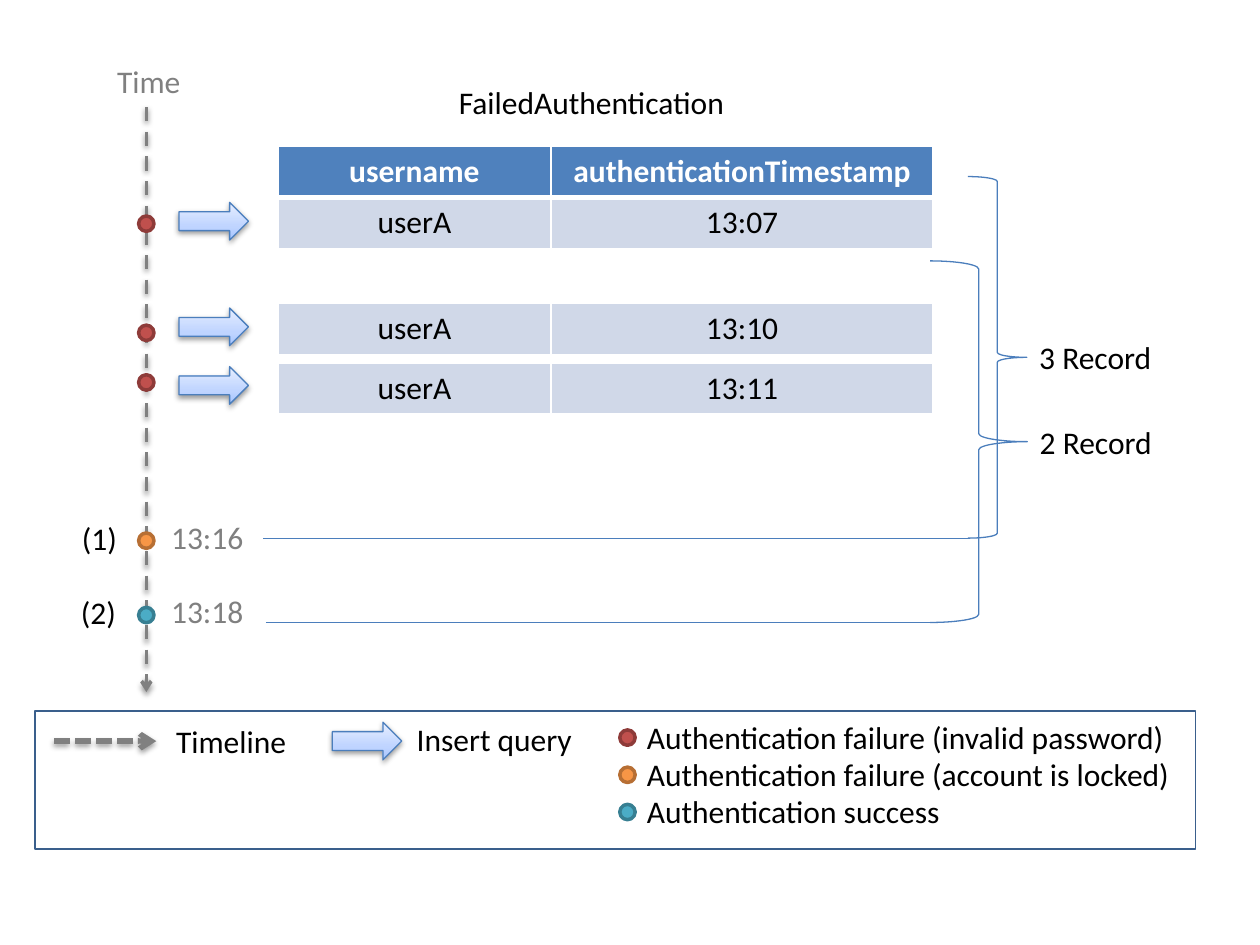
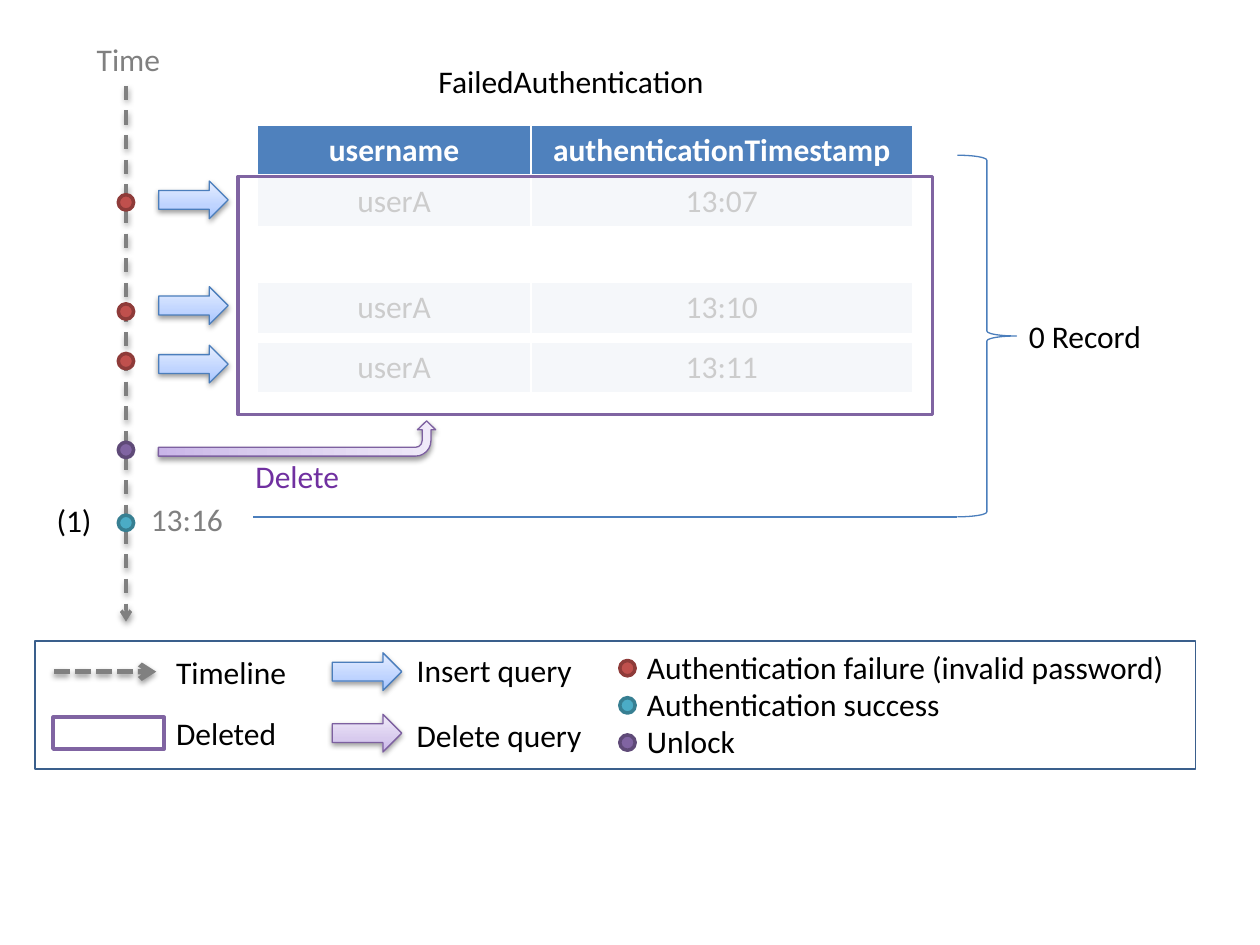
from lxml import etree
from copy import deepcopy
from pptx import Presentation
from pptx import util as u
from pptx.dml.color import RGBColor
from pptx.enum import dml, shapes, text
from pptx.oxml.ns import qn

Cm, Pt = u.Cm, u.Pt
KIND = shapes.MSO_SHAPE

COLOURS = {
    "text": "000000", "grey": "808080", "white": "FFFFFF", "delete": "7030A0",
    "header": "4F81BD", "row": "D0D8E8", "brace": "4B7EBC",
    "frame": "3A5F8C", "deleted": "8064A2",
}
# Event dots: fill and outline
DOTS = {
    "failure": ("C0504D", "8E3B39"), "locked": ("F79646", "B76F34"),
    "success": ("4BACC6", "377F92"), "unlock": ("8064A2", "5F4A78"),
}
# Query arrows: gradient from bottom to top, and outline
QUERIES = {
    "insert": (("A4C4FF", "BFD4FF", "E6EEFF"), "4B7EBC"),
    "delete": (("C9B5E8", "D8CBEE", "F0EAF9"), "7D60A0"),
}
FONT, FONT_SIZE = "Calibri", 18
TEXT_H, ROW_H, DOT = 1.02, 1.03, 0.31
ARROW_W, ARROW_H = 1.4, 0.76
COLUMNS = (5.51, 7.7)

# Diagram lengths are in cm, measured from the top of the timeline.
HEADER = ("username", "authenticationTimestamp")
# table top, rows, dot centre, arrow centre
RECORDS = [
    (0.79, [HEADER, ("userA", "13:07")], 2.35, 2.3),
    (3.96, [("userA", "13:10")], 4.55, 4.43),
    (5.16, [("userA", "13:11")], 5.55, 5.61),
]
FAILURE = ("failure", "Authentication failure (invalid password)")
SUCCESS = ("success", "Authentication success")
# events: dot, centre, number, number left, time
# braces: left, top, width, left end of the line, label
SLIDES = [
    dict(
        origin=(2.95, 2.16), length=11.79, unlock=None,
        events=[("locked", 8.74, "(1)", -1.55, "13:16"),
                ("success", 10.24, "(2)", -1.57, "13:18")],
        braces=[(16.56, 1.4, 1.19, 2.36, "3 Record"),
                (15.8, 3.1, 1.96, 2.41, "2 Record")],
        legend=(14.33, 2.79),
        key=[FAILURE, ("locked", "Authentication failure (account is locked)"), SUCCESS],
    ),
    dict(
        origin=(2.54, 1.73), length=10.8, unlock=7.34,
        events=[("success", 8.81, "(1)", -1.65, "13:16")],
        braces=[(16.76, 1.4, 1.19, 2.57, "0 Record")],
        legend=(12.93, 2.57),
        key=[FAILURE, SUCCESS, ("unlock", "Unlock")],
    ),
]
BRACE_H = 7.29


def rgb(colour):
    return RGBColor.from_string(COLOURS.get(colour, colour))


def add_effects(part, shadowed=False):
    """Give the part its own effect list, with or without a soft shadow."""
    effects = etree.SubElement(part._element.spPr, qn("a:effectLst"))
    if shadowed:
        shadow = etree.SubElement(effects, qn("a:outerShdw"), blurRad="40000",
                                  dist="20000", dir="5400000", rotWithShape="0")
        black = etree.SubElement(shadow, qn("a:srgbClr"), val="000000")
        etree.SubElement(black, qn("a:alpha"), val="38000")


def write(paragraph, words, colour="text", bold=False):
    run = paragraph.add_run()
    run.text = words
    run.font.name, run.font.size, run.font.bold = FONT, Pt(FONT_SIZE), bold
    run.font.color.rgb = rgb(colour)


def add_label(slide, words, left, middle, width, colour="text"):
    box = slide.shapes.add_textbox(Cm(left), Cm(middle - TEXT_H / 2), Cm(width), Cm(TEXT_H))
    box.text_frame.word_wrap = True
    box.text_frame.auto_size = text.MSO_AUTO_SIZE.SHAPE_TO_FIT_TEXT
    write(box.text_frame.paragraphs[0], words, colour)


def add_part(slide, kind, left, top, width, height, line, weight, fill=None, shadowed=False):
    part = slide.shapes.add_shape(kind, Cm(left), Cm(top), Cm(width), Cm(height))
    if isinstance(fill, tuple):
        part.fill.gradient()
        part.fill.gradient_angle = 90
        stops = part._element.spPr.find(".//" + qn("a:gsLst"))
        stops.insert(1, deepcopy(stops[0]))
        for stop, place, colour in zip(part.fill.gradient_stops, (0, 0.35, 1), fill):
            stop.position, stop.color.rgb = place, rgb(colour)
    elif fill:
        part.fill.solid()
        part.fill.fore_color.rgb = rgb(fill)
    else:
        part.fill.background()
    part.line.color.rgb, part.line.width = rgb(line), Pt(weight)
    add_effects(part, shadowed)
    return part


def add_dot(slide, event, x, y):
    fill, line = DOTS[event]
    add_part(slide, KIND.OVAL, x - DOT / 2, y - DOT / 2, DOT, DOT, line, 2, fill)


def add_query(slide, query, left, middle, kind=KIND.RIGHT_ARROW, width=ARROW_W, height=ARROW_H):
    fill, line = QUERIES[query]
    return add_part(slide, kind, left, middle - height / 2, width, height, line, 0.75, fill, True)


def add_line(slide, x1, y1, x2, y2, colour, weight, dash=None):
    """Draw a plain line, or a shadowed arrow when a dash is given."""
    line = slide.shapes.add_connector(shapes.MSO_CONNECTOR.STRAIGHT, Cm(x1), Cm(y1), Cm(x2), Cm(y2))
    line.line.color.rgb, line.line.width = rgb(colour), Pt(weight)
    if dash:
        line.line.dash_style = dash
        etree.SubElement(line.line._get_or_add_ln(), qn("a:tailEnd"), type="arrow")
    add_effects(line, bool(dash))


def add_border(cell, side, weight):
    border = etree.Element(qn("a:ln" + side), w=str(Pt(weight)))
    paint = etree.SubElement(border, qn("a:solidFill"))
    etree.SubElement(paint, qn("a:srgbClr"), val=COLOURS["white"])
    return border


def add_records(slide, left, top, rows):
    table = slide.shapes.add_table(len(rows), len(COLUMNS), Cm(left), Cm(top),
                                   Cm(sum(COLUMNS)), Cm(ROW_H * len(rows))).table
    table.first_row = rows[0] == HEADER
    table.horz_banding = False
    for column, width in zip(table.columns, COLUMNS):
        column.width = Cm(width)
    for r, row in enumerate(rows):
        table.rows[r].height = Cm(ROW_H)
        is_header = row == HEADER
        weights = {"L": 1, "R": 1, "T": 3 if r else 1, "B": 3 if is_header else 1}
        for cell, words in zip(table.rows[r].cells, row):
            cell.fill.solid()
            cell.fill.fore_color.rgb = rgb("header" if is_header else "row")
            for place, (side, weight) in enumerate(weights.items()):
                cell._tc.tcPr.insert(place, add_border(cell, side, weight))
            paragraph = cell.text_frame.paragraphs[0]
            paragraph.alignment = text.PP_ALIGN.CENTER
            write(paragraph, words, "white" if is_header else "text", is_header)


def add_deletion(slide, x, y, unlock):
    # Veil over the deleted records
    veil = add_part(slide, KIND.RECTANGLE, x + 2.26, y + 1.83, 14, 4.8, "deleted", 2, "white")
    white = veil._element.spPr.find(qn("a:solidFill"))[0]
    etree.SubElement(white, qn("a:alpha"), val="80000")
    # Bent arrow from the unlock event up to the veil
    width, height = 0.71, 5.59
    bend = add_query(slide, "delete", x + 3.45 - width / 2, y + 7.11, KIND.BENT_ARROW, width, height)
    for i, share in enumerate((0.25, 0.26, 0.25, 0.44)):
        bend.adjustments[i] = share
    bend.rotation = 90
    bend._element.spPr.find(qn("a:xfrm")).set("flipH", "1")
    add_label(slide, "Delete", x + 2.36, y + 7.87, 2.8, "delete")


def add_diagram(slide, content):
    x, y = content["origin"]
    unlock = content["unlock"]
    for top, rows, _, _ in RECORDS:
        add_records(slide, x + 2.65, y + top, rows)
    if unlock:
        add_deletion(slide, x, y, unlock)
    add_label(slide, "FailedAuthentication", x + 6.05, y - 0.1, 6.2)

    # Timeline with inserts and events
    add_label(slide, "Time", x - 0.84, y - 0.53, 1.9, "grey")
    add_line(slide, x, y, x, y + content["length"], "grey", 2, dml.MSO_LINE.DASH)
    for _, _, dot, arrow in RECORDS:
        add_dot(slide, "failure", x, y + dot)
        add_query(slide, "insert", x + 0.66, y + arrow)
    if unlock:
        add_dot(slide, "unlock", x, y + unlock)
    for event, middle, number, number_left, time in content["events"]:
        add_dot(slide, event, x, y + middle)
        add_label(slide, number, x + number_left, y + middle - 0.06, 1.5)
        add_label(slide, time, x + 0.25, y + middle - 0.08, 2.9, "grey")

    # Braces that count the records
    for left, top, width, line_left, count in content["braces"]:
        bottom = y + top + BRACE_H
        add_part(slide, KIND.RIGHT_BRACE, x + left, y + top, width, BRACE_H, "brace", 0.75)
        add_line(slide, x + line_left, bottom, x + left, bottom, "brace", 0.75)
        add_label(slide, count, x + left + width, bottom - BRACE_H / 2, 2.8)


def add_legend(slide, content):
    top, height = content["legend"]
    first, second = top + 0.61, top + 1.85
    add_part(slide, KIND.RECTANGLE, 0.71, top, 23.39, height, "frame", 1)
    add_line(slide, 1.09, first, 3.15, first, "grey", 3, dml.MSO_LINE.SQUARE_DOT)
    add_label(slide, "Timeline", 3.3, first, 2.8)
    add_query(slide, "insert", 6.7, first)
    add_label(slide, "Insert query", 8.15, first - 0.03, 3.9)
    if content["unlock"]:
        add_part(slide, KIND.RECTANGLE, 1.07, second - 0.32, 2.24, 0.64, "deleted", 2)
        add_label(slide, "Deleted", 3.3, second, 2.8)
        add_query(slide, "delete", 6.7, second)
        add_label(slide, "Delete query", 8.15, second + 0.03, 3.9)
    for i, (event, meaning) in enumerate(content["key"]):
        middle = top + 0.54 + 0.75 * i
        add_dot(slide, event, 12.65, middle)
        add_label(slide, meaning, 12.79, middle - 0.02, 11.12)


def main():
    deck = Presentation()
    deck.slide_width, deck.slide_height = Cm(25.4), Cm(19.05)
    for content in SLIDES:
        slide = deck.slides.add_slide(deck.slide_layouts[6])
        add_diagram(slide, content)
        add_legend(slide, content)
    deck.save("out.pptx")


if __name__ == "__main__":
    main()
